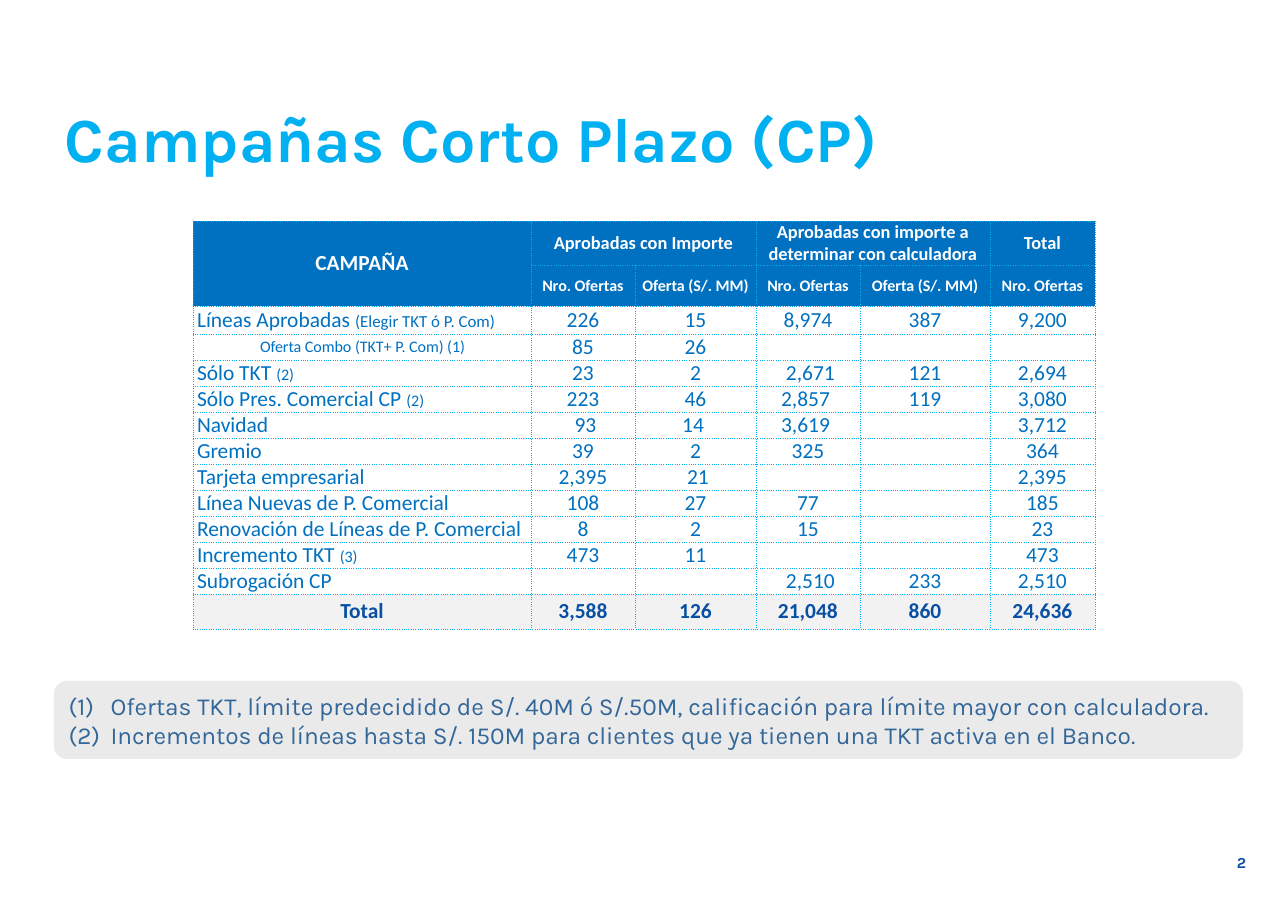
from lxml import etree
from pptx import Presentation
from pptx.dml.color import RGBColor
from pptx.enum.shapes import MSO_SHAPE
from pptx.enum.text import MSO_ANCHOR, PP_ALIGN
from pptx.oxml.ns import qn
from pptx.util import Emu, Pt

LEFT, CENTER, RIGHT = PP_ALIGN.LEFT, PP_ALIGN.CENTER, PP_ALIGN.RIGHT
TOP, MIDDLE = MSO_ANCHOR.TOP, MSO_ANCHOR.MIDDLE
ROUNDED_RECTANGLE = MSO_SHAPE.ROUNDED_RECTANGLE

EMU_PER_PX = 8298
SLIDE_SIZE = (1288, 911)

TITLE = "Campañas Corto Plazo (CP)"
PAGE_NUMBER = "2"
NOTES = [
    "Ofertas TKT, límite predecidido de S/. 40M ó S/.50M, calificación para límite mayor con calculadora.",
    "Incrementos de líneas hasta S/. 150M para clientes que ya tienen una TKT activa en el Banco.",
]

HEADER_GROUPS = ["CAMPAÑA", "Aprobadas con Importe", "",
                 "Aprobadas con importe a determinar con calculadora", "", "Total"]
OFFERS, AMOUNT = "Nro. Ofertas", "Oferta (S/. MM)"
HEADER_COLUMNS = ["", OFFERS, AMOUNT, OFFERS, AMOUNT, OFFERS]
HEADER_SPANS = [((0, 0), (1, 0)), ((0, 1), (0, 2)), ((0, 3), (0, 4))]
# Campaign, small remark, size of the remark, indent, values
CAMPAIGNS = [
    ("Líneas Aprobadas ", "(Elegir TKT ó P. Com)", 11, 4, ["226", "15", "8,974", "387", "9,200"]),
    ("", "Oferta Combo (TKT+ P. Com) (1)", 10.5, 67, ["85", "26", "", "", ""]),
    ("Sólo TKT ", "(2)", 10.5, 4, ["23", "2", " 2,671", "121", "2,694"]),
    ("Sólo Pres. Comercial CP ", "(2)", 10.5, 4, ["223", "46", "2,857 ", "119", "3,080"]),
    ("Navidad", "", 10.5, 4, [" 93", "14 ", "3,619 ", "", "3,712"]),
    ("Gremio", "", 10.5, 4, ["39", "2", "325", "", "364"]),
    ("Tarjeta empresarial", "", 10.5, 4, ["2,395", " 21", "", "", "2,395"]),
    ("Línea Nuevas de P. Comercial", "", 10.5, 4, ["108", "27", "77", "", "185"]),
    ("Renovación de Líneas de P. Comercial", "", 10.5, 4, ["8", "2", "15", "", "23"]),
    ("Incremento TKT ", "(3)", 10.5, 4, ["473", "11", "", "", "473"]),
    ("Subrogación CP", "", 10.5, 4, ["", "", " 2,510", "233", "2,510"]),
]
TOTALS = ["Total", "3,588", "126", "21,048", "860", "24,636"]

TABLE_ORIGIN = (193, 221)
COLUMN_WIDTHS = [338, 104, 121, 104, 130, 105]
ROW_HEIGHTS = [44, 41, 28] + [26] * (len(CAMPAIGNS) - 1) + [35]

HEADER_FILL, TOTAL_FILL, NOTE_FILL, BORDER = "0070C0", "F2F2F2", "EAEAEA", "00B0F0"
TITLE_FONT = {"name": "Karla", "size": 41, "color": "00B0F0", "bold": True}
PAGE_FONT = {"name": "Karla", "size": 10, "color": "094FA4", "bold": True}
NOTE_FONT = {"name": "Karla", "size": 16, "color": "336699", "bold": False}
HEADER_FONT = {"name": "Calibri", "size": 12, "color": "FFFFFF", "bold": True}
BODY_FONT = {"name": "Calibri", "size": 14, "color": "0070C0", "bold": False}
TOTAL_FONT = {**BODY_FONT, "color": "094FA4", "bold": True}


def px(length):
    return Emu(length * EMU_PER_PX)


def rgb(color):
    return RGBColor.from_string(color)


def add_run(paragraph, text, font_format):
    run = paragraph.add_run()
    run.text = text
    for key, value in font_format.items():
        if key == "color":
            run.font.color.rgb = rgb(value)
        else:
            setattr(run.font, key, Pt(value) if key == "size" else value)


def set_frame(frame, anchor, margins=None):
    frame.word_wrap = True
    frame.vertical_anchor = anchor
    if margins is not None:
        for side in ("left", "right", "top", "bottom"):
            setattr(frame, f"margin_{side}", px(margins))


def add_text(slide, box, text, font_format, alignment, margins=None):
    frame = slide.shapes.add_textbox(*map(px, box)).text_frame
    set_frame(frame, TOP, margins)
    paragraph = frame.paragraphs[0]
    paragraph.alignment = alignment
    add_run(paragraph, text, font_format)
    return paragraph


def add_borders(cell):
    properties = cell._tc.get_or_add_tcPr()
    for side in ("lnL", "lnR", "lnT", "lnB"):
        line = etree.SubElement(properties, qn(f"a:{side}"), w=str(Pt(0.5)))
        fill = etree.SubElement(line, qn("a:solidFill"))
        etree.SubElement(fill, qn("a:srgbClr"), val=BORDER)
        etree.SubElement(line, qn("a:prstDash"), val="sysDot")


def fill_cell(cell, runs, fill=None, alignment=CENTER, indent=0):
    add_borders(cell)
    if fill:
        cell.fill.solid()
        cell.fill.fore_color.rgb = rgb(fill)
    else:
        cell.fill.background()
    cell.vertical_anchor = MIDDLE
    cell.margin_left = px(indent)
    cell.margin_right = cell.margin_top = cell.margin_bottom = 0
    paragraph = cell.text_frame.paragraphs[0]
    paragraph.alignment = alignment
    for text, font_format in runs:
        if text:
            add_run(paragraph, text, font_format)
    if not paragraph.runs:
        # An empty cell would otherwise take the default 18 pt and stretch its row
        paragraph._p.get_or_add_endParaRPr().set("sz", "1000")


def add_campaign_table(slide):
    size = (sum(COLUMN_WIDTHS), sum(ROW_HEIGHTS))
    table = slide.shapes.add_table(len(ROW_HEIGHTS), len(COLUMN_WIDTHS),
                                   *map(px, TABLE_ORIGIN + size)).table
    table.first_row = table.horz_banding = False
    for column, width in zip(table.columns, COLUMN_WIDTHS):
        column.width = px(width)
    for row, height in zip(table.rows, ROW_HEIGHTS):
        row.height = px(height)

    for column, (group, heading) in enumerate(zip(HEADER_GROUPS, HEADER_COLUMNS)):
        group_size = 14 if column == 0 else 12
        fill_cell(table.cell(0, column), [(group, {**HEADER_FONT, "size": group_size})], HEADER_FILL)
        fill_cell(table.cell(1, column), [(heading, {**HEADER_FONT, "size": 10.5})], HEADER_FILL)
    for first, last in HEADER_SPANS:
        table.cell(*first).merge(table.cell(*last))

    for row, (name, remark, remark_size, indent, values) in enumerate(CAMPAIGNS, start=2):
        runs = [(name, BODY_FONT), (remark, {**BODY_FONT, "size": remark_size})]
        fill_cell(table.cell(row, 0), runs, alignment=LEFT, indent=indent)
        for column, value in enumerate(values, start=1):
            fill_cell(table.cell(row, column), [(value, BODY_FONT)])

    for column, total in enumerate(TOTALS):
        fill_cell(table.cell(len(ROW_HEIGHTS) - 1, column), [(total, TOTAL_FONT)], TOTAL_FILL)


def add_notes_panel(slide):
    panel = slide.shapes.add_shape(ROUNDED_RECTANGLE, *map(px, (54, 681, 1189, 78)))
    panel.shadow.inherit = False
    panel.fill.solid()
    panel.fill.fore_color.rgb = rgb(NOTE_FILL)
    panel.line.fill.background()
    frame = panel.text_frame
    set_frame(frame, MIDDLE)
    for index, note in enumerate(NOTES):
        paragraph = frame.add_paragraph() if index else frame.paragraphs[0]
        paragraph.alignment = LEFT
        properties = paragraph._p.get_or_add_pPr()
        properties.set("marL", str(px(42)))
        properties.set("indent", str(px(-42)))
        etree.SubElement(properties, qn("a:buFont"), typeface="+mj-lt")
        etree.SubElement(properties, qn("a:buAutoNum"), type="arabicParenBoth")
        add_run(paragraph, note, NOTE_FONT)


def main():
    presentation = Presentation()
    presentation.slide_width, presentation.slide_height = map(px, SLIDE_SIZE)
    slide = presentation.slides.add_slide(presentation.slide_layouts[6])
    add_text(slide, (839, 853, 407, 26), PAGE_NUMBER, PAGE_FONT, RIGHT, margins=0)
    title = add_text(slide, (54, 109, 1182, 61), TITLE, TITLE_FONT, LEFT)
    title.line_spacing = 0.8
    title.space_before = Pt(4)
    add_notes_panel(slide)
    add_campaign_table(slide)
    presentation.save("out.pptx")


if __name__ == "__main__":
    main()
